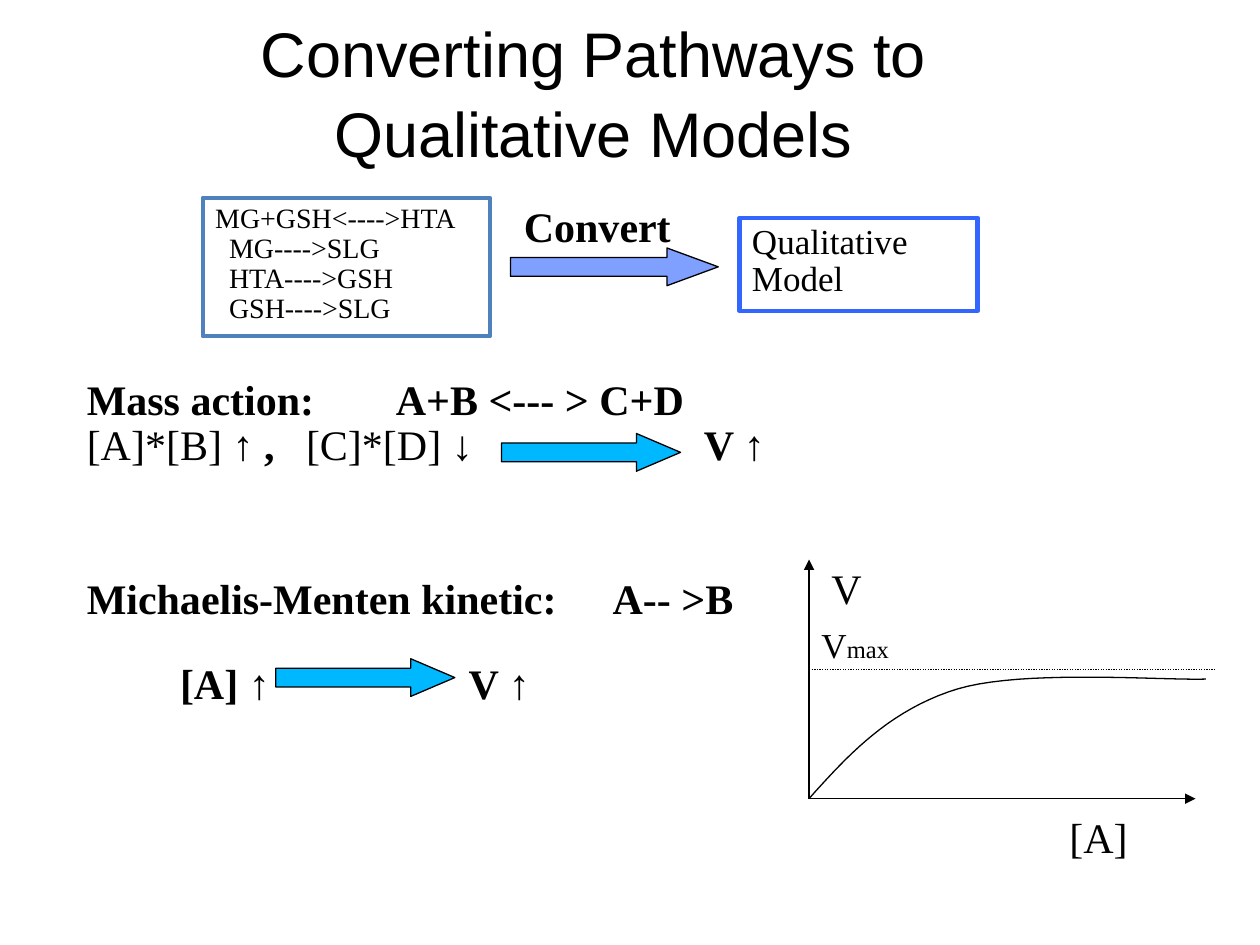
from lxml import etree
from pptx import Presentation
from pptx.dml.color import RGBColor
from pptx.enum.dml import MSO_LINE
from pptx.enum.shapes import MSO_CONNECTOR, MSO_SHAPE
from pptx.enum.text import MSO_ANCHOR, PP_ALIGN
from pptx.oxml.ns import qn
from pptx.util import Cm, Pt

RECT, ARROW = MSO_SHAPE.RECTANGLE, MSO_SHAPE.RIGHT_ARROW
LINE, DOTS = MSO_CONNECTOR.STRAIGHT, MSO_LINE.ROUND_DOT
LEFT, CENTER = PP_ALIGN.LEFT, PP_ALIGN.CENTER
TOP, MIDDLE = MSO_ANCHOR.TOP, MSO_ANCHOR.MIDDLE
HEX = {"ink": "000000", "steel": "4F81BD", "blue": "3366FF", "cyan": "00B8FF"}


def color(name):
    return RGBColor.from_string(HEX[name])


class Page:
    font = "Times New Roman"
    size = 24
    space = 0.9

    def __init__(self, slide):
        self.shapes = slide.shapes

    def fill_text(self, shape, paras, size=None, bold=False, font=None,
                  space=None, align=LEFT, anchor=TOP, tabs=(), pad=0.25):
        """Each paragraph is a string or a list of (text, bold, size) runs."""
        frame = shape.text_frame
        frame.word_wrap = True
        frame.vertical_anchor = anchor
        frame.margin_left = frame.margin_right = Cm(pad)
        for i, runs in enumerate(paras):
            para = frame.add_paragraph() if i else frame.paragraphs[0]
            if tabs:
                stops = etree.SubElement(para._p.get_or_add_pPr(), qn("a:tabLst"))
                for stop in tabs[i]:
                    etree.SubElement(stops, qn("a:tab"), pos=str(Cm(stop)), algn="l")
            para.alignment = align
            para.line_spacing = space or self.space
            if isinstance(runs, str):
                runs = [(runs, bold, size)]
            for text, heavy, points in runs:
                run = para.add_run()
                run.text = text
                run.font.name = font or self.font
                run.font.size = Pt(points or self.size)
                run.font.bold = heavy
                run.font.color.rgb = color("ink")
        return frame

    def text(self, x, y, w, h, paras, **style):
        box = self.shapes.add_textbox(Cm(x), Cm(y), Cm(w), Cm(h))
        return self.fill_text(box, paras, **style)

    def box(self, x, y, w, h, line, paras, size):
        rect = self.shapes.add_shape(RECT, Cm(x), Cm(y), Cm(w), Cm(h))
        rect.shadow.inherit = False
        rect.fill.background()
        rect.line.color.rgb = color(line)
        rect.line.width = Pt(2.5)
        return self.fill_text(rect, paras, size=size)

    def arrow(self, x, y, w, fill, head, alpha=None):
        shape = self.shapes.add_shape(ARROW, Cm(x), Cm(y), Cm(w), Cm(0.76))
        shape.shadow.inherit = False
        shape.adjustments[1] = head
        shape.fill.solid()
        shape.fill.fore_color.rgb = color(fill)
        self.ink(shape.line)
        if alpha:
            tint = shape._element.spPr.find(qn("a:solidFill"))[0]
            etree.SubElement(tint, qn("a:alpha"), val=str(alpha * 1000))

    def ink(self, line):
        line.color.rgb = color("ink")
        line.width = Pt(0.75)

    def line(self, start, end, head=False, dash=None):
        link = self.shapes.add_connector(LINE, *map(Cm, start + end))
        self.ink(link.line)
        if dash:
            link.line.dash_style = dash
        if head:
            outline = link._element.spPr.find(qn("a:ln"))
            etree.SubElement(outline, qn("a:tailEnd"), type="triangle")
        etree.SubElement(link._element.spPr, qn("a:effectLst"))

    def curve(self, start, *parts, steps=20):
        """Draw cubic Bezier parts, each two control points and an end."""
        points, last = [], start
        for one, two, end in parts:
            for k in range(1, steps + 1):
                t = k / steps
                u = 1 - t
                points.append(tuple(
                    Cm(u**3 * a + 3 * u * u * t * b + 3 * u * t * t * c + t**3 * d)
                    for a, b, c, d in zip(last, one, two, end)))
            last = end
        pen = self.shapes.build_freeform(Cm(start[0]), Cm(start[1]))
        pen.add_line_segments(points, close=False)
        shape = pen.convert_to_shape()
        shape.shadow.inherit = False
        shape.fill.background()
        self.ink(shape.line)


def main():
    deck = Presentation()
    deck.slide_width, deck.slide_height = Cm(25.4), Cm(19.05)
    page = Page(deck.slides.add_slide(deck.slide_layouts[6]))

    # Title
    page.text(1.9, 0.23, 20.12, 3.18, ["Converting Pathways to Qualitative Models"],
              size=36, font="Arial", space=1.05, align=CENTER, anchor=MIDDLE, pad=1)

    # Pathway to model
    frame = page.box(4.09, 3.99, 5.79, 2.79, "steel",
                     ["MG+GSH<---->HTA", "MG---->SLG", "HTA---->GSH", "GSH---->SLG"], 16)
    for para in frame.paragraphs[1:]:
        para._p.get_or_add_pPr().set("marL", str(Cm(0.28)))
    page.arrow(10.29, 5, 4.19, "blue", 1.36, alpha=62)
    page.text(10.31, 4.04, 5, 1.17, ["Convert"], bold=True)
    page.box(14.91, 4.39, 4.8, 1.88, "blue", ["Qualitative Model"], 20)

    # Mass action
    page.text(1.5, 7.52, 15.49, 2.08, [
        "Mass action:\tA+B <--- > C+D",
        [("[A]*[B] ", False, None), ("↑ ,\t", True, None),
         ("[C]*[D] ", False, None), ("↓\tV ↑", True, None)],
    ], bold=True, tabs=[[6.23], [4.42, 12.44]])
    page.arrow(10.11, 8.74, 3.61, "cyan", 1.17)

    # Michaelis-Menten
    page.text(1.5, 11.53, 10.3, 1.17, ["Michaelis-Menten kinetic:"], bold=True)
    page.text(12.1, 11.53, 3.3, 1.17, ["A-- >B"], bold=True)
    page.text(3.38, 13.36, 8, 1.04, ["[A] ↑\tV ↑"], bold=True, space=0.77, tabs=[[5.82]])
    page.arrow(5.56, 13.28, 3.61, "cyan", 1.17)

    # Rate plot
    base = (16.31, 16.1)
    page.line(base, (24.1, 16.1), head=True)
    page.line(base, (16.31, 11.28), head=True)
    page.curve(base,
               ((17.12, 15.19), (17.96, 14.3), (19.3, 13.89)),
               ((20.62, 13.49), (23.47, 13.72), (24.31, 13.69)))
    page.line((16.31, 13.49), (24.51, 13.49), dash=DOTS)
    page.text(21.31, 16.31, 3, 1.22, ["[A]"], space=0.95)
    page.text(16.51, 11.3, 1.4, 1.22, ["V"], space=0.95)
    page.text(16.31, 12.5, 2.41, 1.07,
              [[("V", False, 20), ("max", False, 14)]], space=0.95)

    deck.save("out.pptx")


if __name__ == "__main__":
    main()
